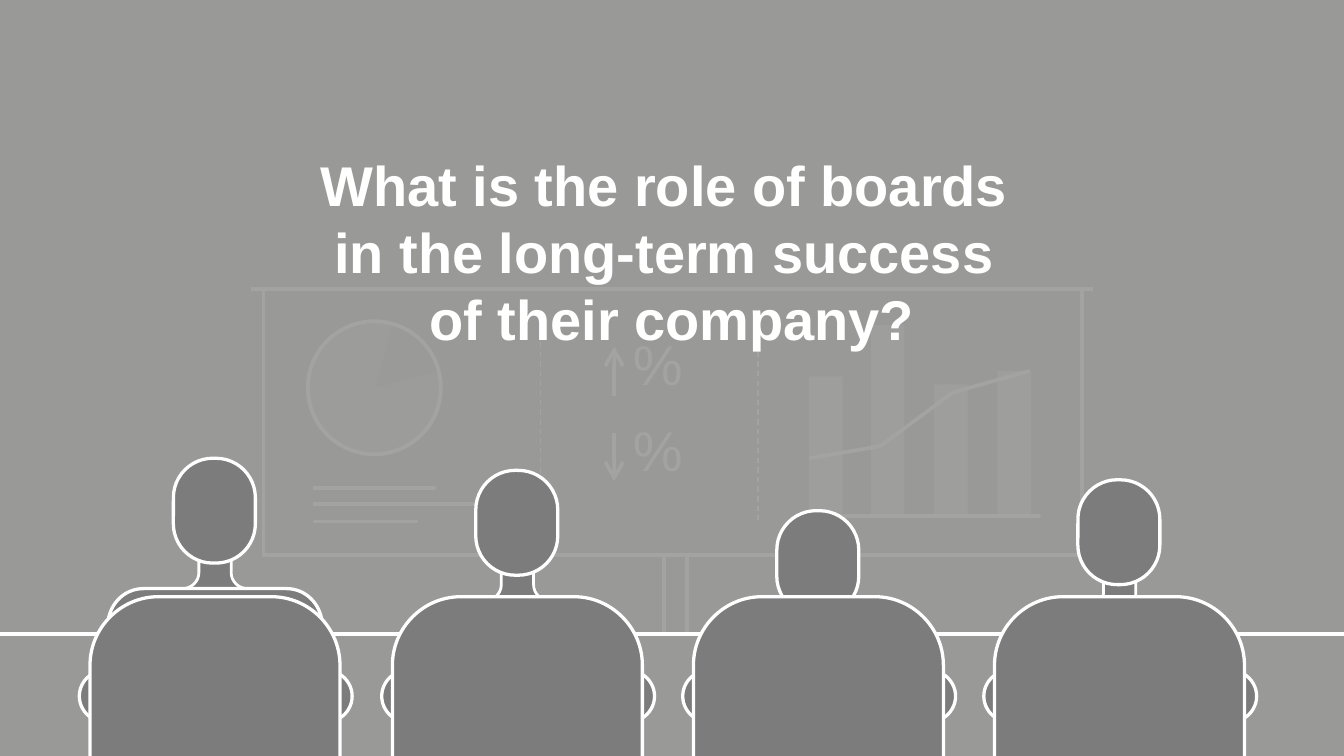
from lxml import etree
from pptx import Presentation
from pptx import util as u
from pptx.dml.color import RGBColor
from pptx.enum import dml, shapes, text
from pptx.oxml.ns import qn

PX = u.Inches(1) // 100
COLORS = {"back": "191919", "wall": "999A98", "white": "FFFFFF", "people": "7C7C7C"}
RECT, OVAL = shapes.MSO_SHAPE.RECTANGLE, shapes.MSO_SHAPE.OVAL
STRAIGHT = shapes.MSO_CONNECTOR.STRAIGHT


def paint(shape, fill=None, line=None, width=2, alpha=100):
    if line:
        shape.line.color.rgb = RGBColor.from_string(COLORS[line])
        shape.line.width = u.Pt(width)
    else:
        shape.line.fill.background()
    if not hasattr(shape, "fill"):
        etree.SubElement(shape._element.spPr, qn("a:effectLst"))
        return
    shape.shadow.inherit = False
    if not fill:
        shape.fill.background()
        return
    shape.fill.solid()
    shape.fill.fore_color.rgb = RGBColor.from_string(COLORS[fill])
    if alpha < 100:
        color = shape._element.spPr.find(qn("a:solidFill"))[0]
        etree.SubElement(color, qn("a:alpha"), val=str(alpha * 1000))


def outline(left, top, segments, close=False):
    points = [((left + x) * PX, (top + y) * PX)
              for segment in segments for x, y in zip(segment[::2], segment[1::2])]
    builder = slide.shapes.build_freeform(*points[0], scale=1.0)
    builder.add_line_segments(points[1:], close=close)
    shape = builder.convert_to_shape()
    steps = iter(list(shape._element.iter(qn("a:lnTo"))))
    for segment in segments[1:]:
        step = next(steps)
        if len(segment) == 6:
            step.tag = qn("a:cubicBezTo")
            for _ in range(2):
                extra = next(steps)
                step.append(extra[0])
                extra.getparent().remove(extra)
    return shape


presentation = Presentation()
presentation.slide_width = 1000 * PX
presentation.slide_height = u.Inches(5.625)
slide = presentation.slides.add_slide(presentation.slide_layouts[6])
slide.background.fill.solid()
slide.background.fill.fore_color.rgb = RGBColor.from_string(COLORS["back"])

for kind, left, top, width, height, fill, line, alpha in [
    (RECT, 0, 0, 1000, 562, "wall", None, 100),
    (RECT, 0, 187, 1000, 375, "wall", None, 100),
    (RECT, 196, 215, 609, 198, "wall", "white", 100),
    (OVAL, 229, 239, 99, 99, "white", "white", 14),
    (RECT, 602, 280, 25, 105, "white", None, 59),
    (RECT, 648, 242, 25, 143, "white", None, 59),
    (RECT, 695, 286, 25, 99, "white", None, 59),
    (RECT, 742, 276, 25, 108, "white", None, 59),
]:
    shape = slide.shapes.add_shape(kind, left * PX, top * PX, width * PX, height * PX)
    paint(shape, fill, line, 2, alpha)

pie_slice = outline(0, 0, [
    (279, 239), (282, 239, 286, 240, 289, 240), (292, 241), (279, 289), (327, 276),
    (328, 279), (328, 282, 329, 285, 329, 289), (329, 316, 306, 338, 279, 338),
    (252, 338, 229, 316, 229, 289), (229, 261, 252, 239, 279, 239)], close=True)
paint(pie_slice, "white", alpha=30)

for x1, y1, x2, y2, style in [
    (511, 413, 511, 471, "plain"), (494, 412, 494, 471, "plain"),
    (187, 215, 813, 215, "plain"),
    (234, 363, 323, 363, "round"), (234, 375, 367, 375, "round"),
    (234, 388, 310, 388, "round"),
    (402, 233, 402, 387, "dash"), (564, 233, 564, 387, "dash"),
    (457, 295, 457, 258, "arrow"), (457, 322, 457, 358, "arrow"),
    (594, 384, 773, 384, "round"),
]:
    connector = slide.shapes.add_connector(STRAIGHT, x1 * PX, y1 * PX, x2 * PX, y2 * PX)
    paint(connector, line="white", width=0.75 if style == "dash" else 2)
    stroke = connector._element.spPr.find(qn("a:ln"))
    if style == "dash":
        connector.line.dash_style = dml.MSO_LINE.DASH
    elif style == "arrow":
        etree.SubElement(stroke, qn("a:tailEnd"), type="arrow", w="lg", len="lg")
    elif style == "round":
        stroke.set("cap", "rnd")

trend = outline(0, 0, [(766, 276), (709, 292), (655, 332), (602, 341)])
paint(trend, line="white")

for top in (240, 304):
    box = slide.shapes.add_textbox(461 * PX, top * PX, 69 * PX, 73 * PX)
    box.text_frame.word_wrap = False
    paragraph = box.text_frame.paragraphs[0]
    paragraph.text = "%"
    paragraph.font.size = u.Pt(30)
    paragraph.font.name = "Arial"
    paragraph.font.color.rgb = RGBColor.from_string(COLORS["white"])

for top, height, alpha in [(472, 91, 100), (187, 291, 90)]:
    veil = slide.shapes.add_shape(RECT, 0, top * PX, 1000 * PX, height * PX)
    paint(veil, "wall", alpha=alpha)
table_edge = slide.shapes.add_connector(STRAIGHT, -PX, 472 * PX, 1001 * PX, 472 * PX)
paint(table_edge, line="white")

for left, top in [(67, 341), (292, 350), (516, 380), (740, 357)]:
    neck = outline(left, top, [(82, 75), (104, 74), (106, 82, 105, 91, 113, 97),
                               (74, 97), (83, 91, 80, 83, 82, 75)], close=True)
    paint(neck, "people")
    for start, sign in [(0, 1), (186, -1)]:
        neck_side = outline(left + start, top, [
            (sign * 56, 97), (sign * 69, 97),
            (sign * 75, 97, sign * 81, 92, sign * 81, 85), (sign * 81, 76)])
        paint(neck_side, line="white", width=1.5)
    head = slide.shapes.add_shape(shapes.MSO_SHAPE.ROUNDED_RECTANGLE,
                                  (left + 62) * PX, top * PX, 61 * PX, 78 * PX)
    head.adjustments[0] = 0.48
    paint(head, "people", "white", 1.75)
    shoulders = outline(left, top, [
        (40, 97), (146, 97), (159, 97, 169, 106, 172, 118), (172, 123),
        (14, 123), (14, 118), (17, 106, 27, 97, 40, 97)], close=True)
    paint(shoulders, "people", "white", 1.75)
    for offset in (157, -8):
        elbow = slide.shapes.add_shape(OVAL, (left + offset) * PX, 499 * PX, 38 * PX, 38 * PX)
        paint(elbow, "people", "white", 1.75)
    chair = outline(left, 444, [
        (0, 143), (0, 51), (0, 23, 23, 0, 51, 0), (135, 0),
        (163, 0, 186, 23, 186, 51), (186, 143)])
    paint(chair, "people", "white", 1.75)

title = slide.shapes.add_textbox(115 * PX, 107 * PX, 770 * PX, 154 * PX)
title.text_frame.word_wrap = True
paragraph = title.text_frame.paragraphs[0]
paragraph.text = "What is the role of boards \vin the long-term success \vof their company?"
paragraph.alignment = text.PP_ALIGN.CENTER
paragraph.font.size = u.Pt(30)
paragraph.font.name = "Arial"
paragraph.font.bold = True
paragraph.font.color.rgb = RGBColor.from_string(COLORS["white"])

presentation.save("out.pptx")
